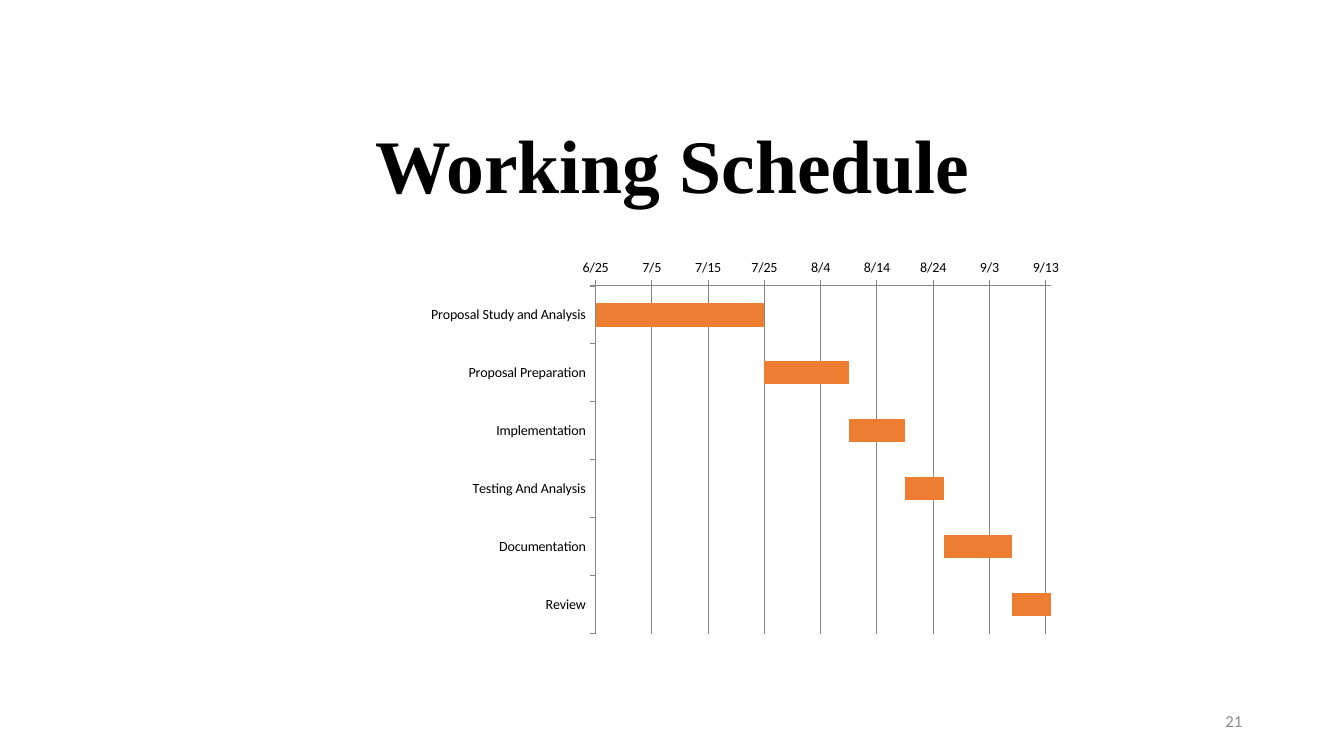
from itertools import accumulate

from lxml import etree
from pptx import Presentation
from pptx.chart.data import CategoryChartData
from pptx.dml.color import RGBColor
from pptx.enum.chart import XL_CHART_TYPE, XL_TICK_MARK
from pptx.enum.text import MSO_ANCHOR, PP_ALIGN
from pptx.oxml.ns import qn
from pptx.util import Inches, Pt

COLORS = {"text": "000000", "number": "8C8C8C", "bar": "ED7D31", "line": "868686"}
START, END = 44372, 44453  # 25 June and 14 September 2021 as serial dates
TASKS = {
    "Proposal Study and Analysis": 30,
    "Proposal Preparation": 15,
    "Implementation": 10,
    "Testing And Analysis": 7,
    "Documentation": 12,
    "Review": 7,
}
PLOT_BOX = {"x": 0.309, "y": 0.129, "w": 0.627, "h": 0.827}


def rgb(name):
    return RGBColor.from_string(COLORS[name])


def set_format(target, values):
    for name, value in values.items():
        setattr(target, name, value)


def add_text(slide, box, text, color, font, frame, paragraph):
    tf = slide.shapes.add_textbox(*map(Inches, box)).text_frame
    set_format(tf, {"word_wrap": True, **frame})
    p = tf.paragraphs[0]
    set_format(p, paragraph)
    r = p.add_run()
    r.text = text
    set_format(r.font, font)
    r.font.color.rgb = rgb(color)


def place_plot(chart):
    """Fix the inner plot area as fractions of the chart."""
    area = chart.plots[0]._element.getparent()
    for old in area.findall(qn("c:layout")):
        area.remove(old)
    layout = etree.Element(qn("c:layout"))
    manual = etree.SubElement(layout, qn("c:manualLayout"))
    settings = {"layoutTarget": "inner", "xMode": "edge", "yMode": "edge", **PLOT_BOX}
    for name, value in settings.items():
        etree.SubElement(manual, qn(f"c:{name}")).set("val", str(value))
    area.insert(0, layout)


def add_gantt(slide, box):
    days = list(TASKS.values())
    data = CategoryChartData()
    data.categories = list(TASKS)
    data.add_series("Series 1", list(accumulate(days[:-1], initial=START)))
    data.add_series("Series 2", days)
    chart = slide.shapes.add_chart(
        XL_CHART_TYPE.BAR_STACKED, *map(Inches, box), data).chart
    set_format(chart, {"has_legend": False, "has_title": False})
    set_format(chart.font, {"name": "Calibri", "size": Pt(10)})
    chart.font.color.rgb = rgb("text")

    plot = chart.plots[0]
    set_format(plot, {"gap_width": 150, "overlap": 100, "vary_by_categories": False})
    offset, duration = plot.series
    offset.format.fill.background()
    offset.format.line.fill.background()
    duration.format.fill.solid()
    duration.format.fill.fore_color.rgb = rgb("bar")

    tasks, dates = chart.category_axis, chart.value_axis
    ticks = {"major_tick_mark": XL_TICK_MARK.OUTSIDE,
             "minor_tick_mark": XL_TICK_MARK.NONE}
    set_format(tasks, {**ticks, "reverse_order": True, "has_major_gridlines": False})
    set_format(dates, {**ticks, "minimum_scale": START, "maximum_scale": END,
                       "major_unit": 10, "has_major_gridlines": True})
    set_format(dates.tick_labels,
               {"number_format": "m/d;@", "number_format_is_linked": False})
    for part in (tasks, dates, dates.major_gridlines):
        part.format.line.width = Pt(0.75)
        part.format.line.color.rgb = rgb("line")
    place_plot(chart)


def build_schedule_slide(prs):
    s = prs.slides.add_slide(prs.slide_layouts[6])
    add_text(s, (1.67, 1.23, 10, 0.9), "Working Schedule", "text",
             {"name": "Times New Roman", "size": Pt(54), "bold": True},
             {"vertical_anchor": MSO_ANCHOR.BOTTOM},
             {"alignment": PP_ALIGN.CENTER, "line_spacing": 0.9})
    add_gantt(s, (3.68, 2.3, 7.21, 4.17))
    add_text(s, (9.42, 6.95, 3, 0.4), "21", "number",
             {"name": "Calibri", "size": Pt(12)},
             {"vertical_anchor": MSO_ANCHOR.MIDDLE},
             {"alignment": PP_ALIGN.RIGHT})


def main():
    prs = Presentation()
    prs.slide_width, prs.slide_height = Inches(13.33), Inches(7.5)
    build_schedule_slide(prs)
    prs.save("out.pptx")


if __name__ == "__main__":
    main()
